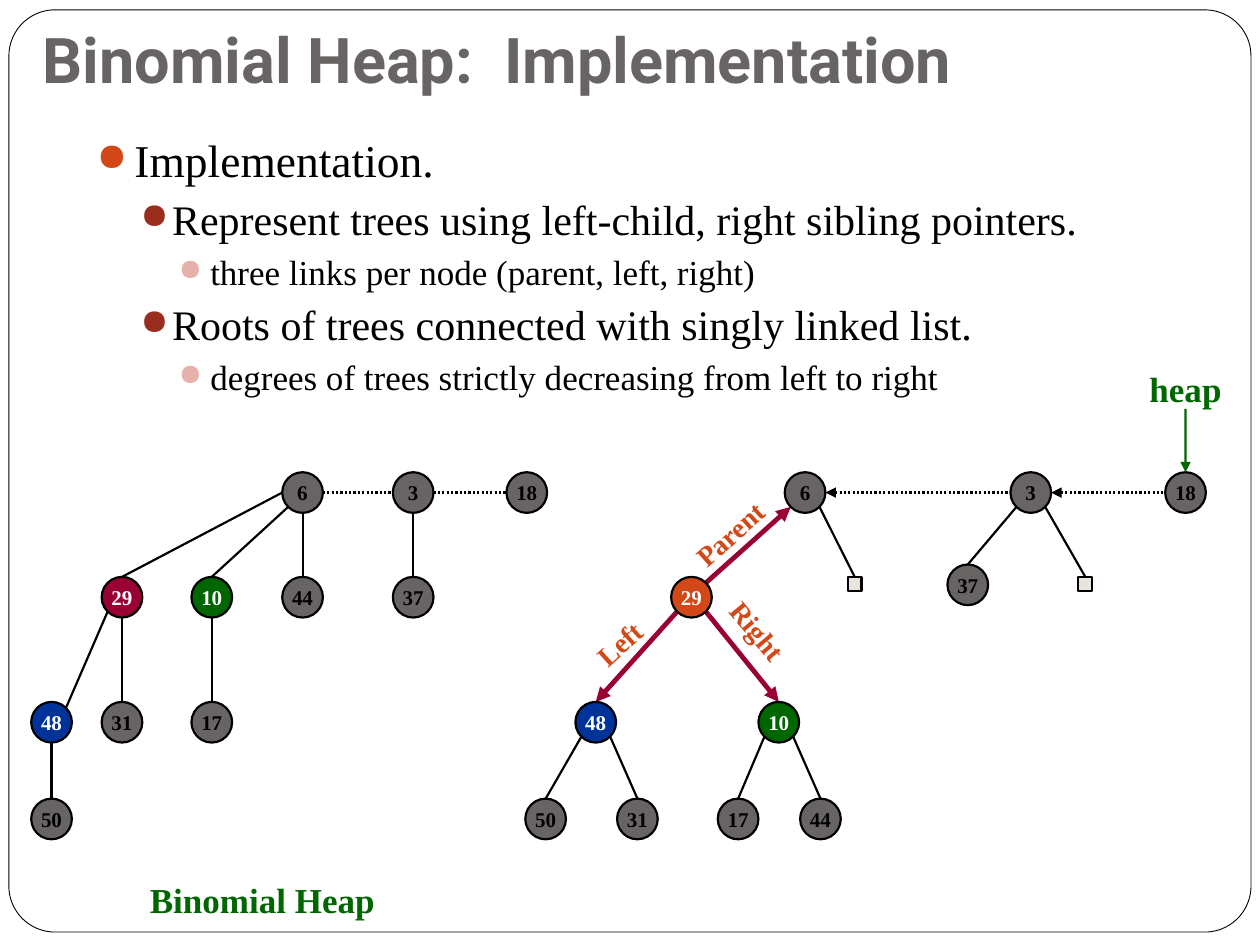
import pptx
import pptx.util
import pptx.dml.color
import pptx.enum.dml
import pptx.enum.shapes
import pptx.enum.text
import pptx.oxml.ns
import lxml.etree

Cm, Pt = pptx.util.Cm, pptx.util.Pt
RGB = pptx.dml.color.RGBColor.from_string
Kind = pptx.enum.shapes.MSO_SHAPE
Side = pptx.enum.text.PP_ALIGN
Anchor = pptx.enum.text.MSO_ANCHOR
qn = pptx.oxml.ns.qn
sub = lxml.etree.SubElement

HUE = {"gray": "696464", "black": "000000", "white": "FFFFFF", "green": "006600",
       "blue": "003399", "wine": "990033", "rust": "D34817", "brick": "9B2D1F",
       "pink": "E6B1AB", "sand": "E9E5DC"}
SERIF = "Times New Roman"

deck = pptx.Presentation()
deck.slide_width, deck.slide_height = Cm(25.4), Cm(19.05)
slide = deck.slides.add_slide(deck.slide_layouts[6])
shapes = slide.shapes


def write(para, text, size, hue, bold=True, font=SERIF):
    run = para.add_run()
    run.text = text
    run.font.name, run.font.size, run.font.bold = font, Pt(size), bold
    run.font.color.rgb = RGB(HUE[hue])


def link(start, end, hue="black", width=1.25, tip=None, dots=False):
    """Draw a line; tip is headEnd (at start) or tailEnd (at end)."""
    line = shapes.add_connector(pptx.enum.shapes.MSO_CONNECTOR.STRAIGHT,
                                *[Cm(v) for v in (*start, *end)])
    line.line.color.rgb = RGB(HUE[hue])
    line.line.width = Pt(width)
    if dots:
        line.line.dash_style = pptx.enum.dml.MSO_LINE.ROUND_DOT
    props = line._element.spPr
    if tip:
        sub(props.find(qn("a:ln")), qn("a:" + tip), type="triangle")
    sub(props, qn("a:effectLst"))
    return line


# Slide frame
frame = shapes.add_shape(Kind.ROUNDED_RECTANGLE, Cm(0.18), Cm(0.2), Cm(25.04), Cm(18.59))
frame.adjustments[0] = 0.05
frame.shadow.inherit = False
frame.fill.solid()
frame.fill.fore_color.rgb = RGB(HUE["white"])
frame.line.color.rgb = RGB(HUE["black"])
frame.line.width = Pt(0.5)

# Title
title = shapes.add_textbox(Cm(0.61), Cm(0.66), Cm(24.16), Cm(1.52)).text_frame
title.word_wrap = True
title.vertical_anchor = Anchor.BOTTOM
title.margin_bottom = Cm(0.25)
write(title.paragraphs[0], "Binomial Heap:  Implementation", 36, "gray", font="Roboto")

# Bulleted text: indent, hang, size and bullet hue for each level
LEVELS = [(0.76, 0.76, 26, "rust"), (1.52, 0.64, 24, "brick"), (2.29, 0.64, 20, "pink")]
POINTS = [(0, "Implementation."),
          (1, "Represent trees using left-child, right sibling pointers."),
          (2, "three links per node (parent, left, right)"),
          (1, "Roots of trees connected with singly linked list."),
          (2, "degrees of trees strictly decreasing from left to right")]
body = shapes.add_textbox(Cm(1.7), Cm(2.54), Cm(21.8), Cm(8)).text_frame
body.word_wrap = True
for i, (level, text) in enumerate(POINTS):
    para = body.add_paragraph() if i else body.paragraphs[0]
    indent, hang, size, hue = LEVELS[level]
    para.level = level
    if i:
        para.space_before = Pt(3.7)
    props = para._p.get_or_add_pPr()
    props.set("marL", str(Cm(indent)))
    props.set("indent", str(-Cm(hang)))
    sub(sub(props, qn("a:buClr")), qn("a:srgbClr"), val=HUE[hue])
    sub(props, qn("a:buSzPct"), val="85000")
    sub(props, qn("a:buChar"), char="●")
    write(para, text, size, "black", bold=False)

# Node centres: left heap (L) and right heap (R)
ROOT, MID, LOW, LEAF = 9.93, 12.04, 14.56, 16.51
NODES = {
    "L6": (6.1, ROOT, "gray"), "L3": (8.33, ROOT, "gray"), "L18": (10.62, ROOT, "gray"),
    "L29": (2.46, MID, "wine"), "L10": (4.27, MID, "green"), "L44": (6.1, MID, "gray"),
    "L37": (8.33, MID, "gray"), "L48": (1.04, LOW, "blue"), "L31": (2.46, LOW, "gray"),
    "L17": (4.27, LOW, "gray"), "L50": (1.04, LEAF, "gray"),
    "R6": (16.23, ROOT, "gray"), "R3": (20.78, ROOT, "gray"), "R18": (23.9, ROOT, "gray"),
    "R37": (19.51, 11.79, "gray"), "R29": (13.94, MID, "rust"), "R48": (12.01, LOW, "blue"),
    "R10": (15.7, LOW, "green"), "R50": (11, LEAF, "gray"), "R31": (12.85, LEAF, "gray"),
    "R17": (14.88, LEAF, "gray"), "R44": (16.54, LEAF, "gray")}
RAD, DIAG = 0.41, 0.29
SPOTS = {"n": (0, -RAD), "s": (0, RAD), "w": (-RAD, 0), "e": (RAD, 0),
         "ne": (DIAG, -DIAG), "sw": (-DIAG, DIAG), "se": (DIAG, DIAG)}

# Edges: start node and spot, end node and spot, then style
PLAIN = {}
DOTS = {"dots": True}
BACK = {"dots": True, "tip": "headEnd"}
DOWN = {"hue": "wine", "width": 2.75, "tip": "headEnd"}
UP = {"hue": "wine", "width": 2.75, "tip": "tailEnd"}
EDGES = [
    ("L6 e L3 w", DOTS), ("L3 e L18 w", DOTS), ("R6 e R3 w", BACK), ("R3 e R18 w", BACK),
    ("L29 n L6 w", PLAIN), ("L10 n L6 sw", PLAIN), ("L44 n L6 s", PLAIN),
    ("L37 n L3 s", PLAIN), ("L48 ne L29 sw", PLAIN), ("L31 n L29 s", PLAIN),
    ("L17 n L10 s", PLAIN), ("L50 n L48 s", PLAIN), ("R37 n R3 sw", PLAIN),
    ("R50 n R48 sw", PLAIN), ("R31 n R48 se", PLAIN), ("R17 n R10 sw", PLAIN),
    ("R44 n R10 se", PLAIN), ("R48 n R29 sw", DOWN), ("R10 n R29 se", DOWN),
    ("R29 ne R6 sw", UP)]
for edge, style in EDGES:
    a, out, b, into = edge.split()
    ends = [(NODES[n][0] + SPOTS[s][0], NODES[n][1] + SPOTS[s][1])
            for n, s in ((a, out), (b, into))]
    link(*ends, **style)

# Nodes
for name, (x, y, hue) in NODES.items():
    node = shapes.add_shape(Kind.OVAL, Cm(x - RAD), Cm(y - RAD), Cm(2 * RAD), Cm(2 * RAD))
    node.shadow.inherit = False
    node.fill.solid()
    node.fill.fore_color.rgb = RGB(HUE[hue])
    node.line.color.rgb = RGB(HUE["black"])
    node.line.width = Pt(1.25)
    node.text_frame.word_wrap = False
    node.text_frame.vertical_anchor = Anchor.MIDDLE
    para = node.text_frame.paragraphs[0]
    para.alignment = Side.CENTER
    write(para, name[1:], 12, "black" if hue == "gray" else "white")

# Empty right children
for name, x in (("R6", 17.23), ("R3", 21.88)):
    nil = shapes.add_shape(Kind.RECTANGLE, Cm(x - 0.14), Cm(11.63), Cm(0.28), Cm(0.28))
    nil.shadow.inherit = False
    nil.fill.solid()
    nil.fill.fore_color.rgb = RGB(HUE["sand"])
    nil.line.color.rgb = RGB(HUE["black"])
    nil.line.width = Pt(1.25)
    edge = link((NODES[name][0] + DIAG, ROOT + DIAG), (x, 11.63))
    edge.end_connect(nil, 0)

# Labels: text, left, top, width, height, turn, size, hue
LABELS = [("Binomial Heap", 1.9, 17.58, 6.78, 1.09, 0, 20, "green"),
          ("Parent", 13.34, 10.29, 2.74, 0.94, 318, 16, "rust"),
          ("Left", 11.63, 12.5, 1.7, 0.94, 318, 16, "rust"),
          ("Right", 14.22, 12.24, 2.11, 0.94, 50, 16, "rust"),
          ("heap", 22.9, 7.42, 2, 0.82, 0, 20, "green")]
for text, x, y, w, h, turn, size, hue in LABELS:
    label = shapes.add_textbox(Cm(x), Cm(y), Cm(w), Cm(h))
    label.rotation = turn
    label.text_frame.word_wrap = text != "heap"
    label.text_frame.vertical_anchor = Anchor.MIDDLE
    para = label.text_frame.paragraphs[0]
    para.alignment = Side.CENTER
    write(para, text, size, hue)
    if text == "heap":
        arrow = link((23.9, 8.24), (23.9, ROOT - RAD), hue="green", tip="tailEnd")
        arrow.begin_connect(label, 2)

deck.save("out.pptx")
